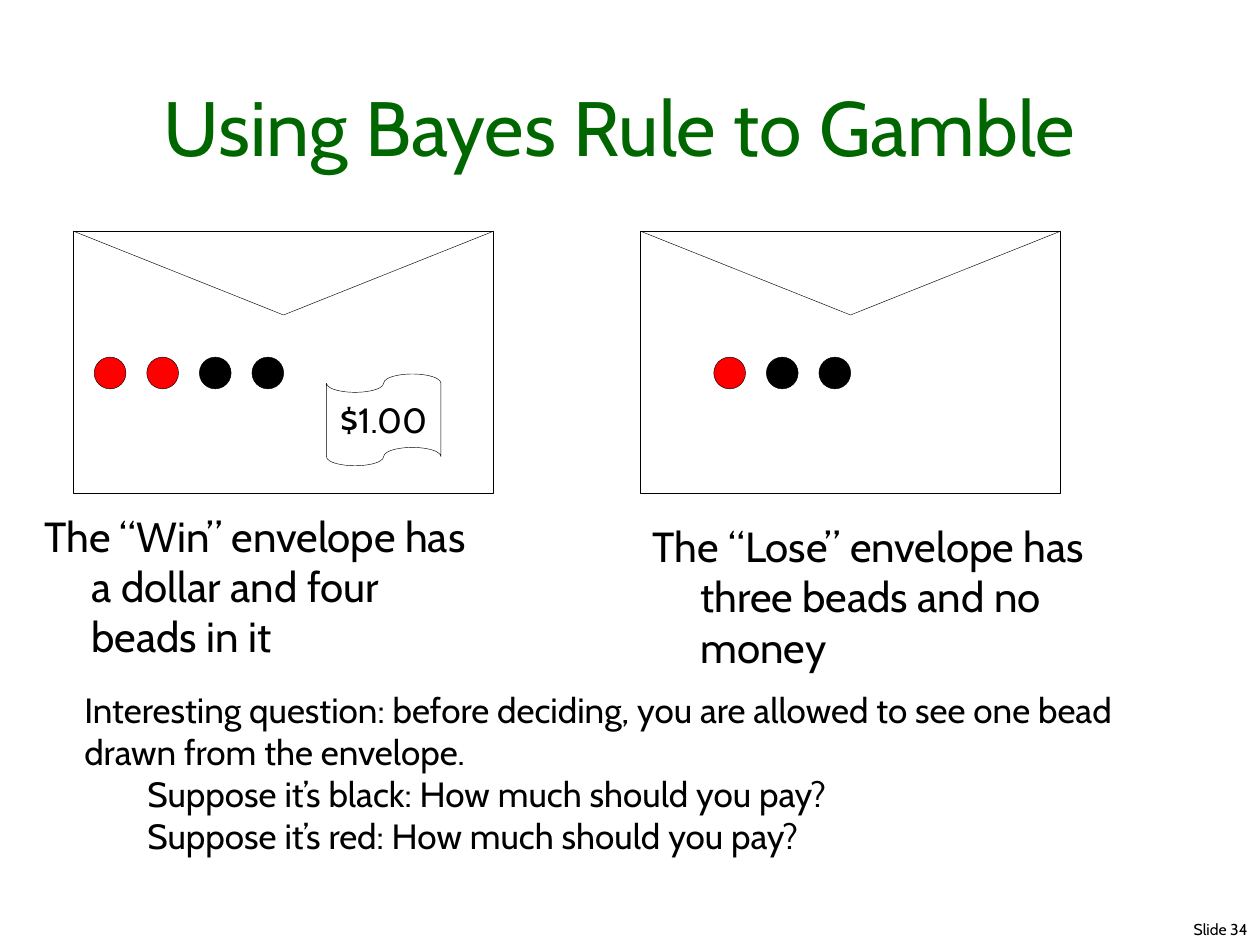
import pptx
import pptx.dml.color
import pptx.enum.shapes
import pptx.enum.text
import pptx.oxml.ns
import pptx.shapes.autoshape
import pptx.shapes.shapetree
import pptx.slide
import pptx.util
from dataclasses import dataclass
from lxml import etree

Cm = pptx.util.Cm
Pt = pptx.util.Pt
RGB = pptx.dml.color.RGBColor
Align = pptx.enum.text.PP_ALIGN
Anchor = pptx.enum.text.MSO_ANCHOR
Preset = pptx.enum.shapes.MSO_SHAPE


@dataclass(frozen=True)
class Theme:
    font: str = "Cabin"
    ink: RGB = RGB(0, 0, 0)
    title: RGB = RGB(0, 0x66, 0)
    red: RGB = RGB(0xFF, 0, 0)
    title_size: float = 44
    caption_size: float = 24
    body_size: float = 20
    footer_size: float = 9
    line_width: float = 0.25


@dataclass(frozen=True)
class Area:
    left: float
    top: float
    width: float
    height: float

    def lengths(self) -> list[int]:
        return [Cm(value) for value in (self.left, self.top, self.width, self.height)]


@dataclass(frozen=True)
class Line:
    text: str
    size: float
    color: RGB = Theme.ink
    align: Align = Align.LEFT
    margin: float = 0
    indent: float = 0


@dataclass(frozen=True)
class TextBlock:
    area: Area
    lines: tuple[Line, ...]
    anchor: Anchor = Anchor.TOP


@dataclass(frozen=True)
class Envelope:
    left: float
    first_bead: float
    beads: tuple[RGB, ...]
    note: str = ""


THEME = Theme()
ENVELOPE_TOP, ENVELOPE_WIDTH, ENVELOPE_HEIGHT = 4.66, 8.47, 5.29
FLAP_DEPTH = 1.69
BEAD_TOP, BEAD_SIZE, BEAD_PITCH = 7.2, 0.64, 1.06
NOTE_OFFSET = 5.1
HANG = 0.96

ENVELOPES = (
    Envelope(1.48, 1.9, (THEME.red, THEME.red, THEME.ink, THEME.ink), "$1.00"),
    Envelope(12.91, 14.39, (THEME.red, THEME.ink, THEME.ink)),
)


def caption(left: float, top: float, text: str) -> TextBlock:
    line = Line(text, THEME.caption_size, margin=HANG, indent=-HANG)
    return TextBlock(Area(left, top, 9.31, 3.6), (line,))


TEXT_BLOCKS = (
    TextBlock(
        Area(15.44, 18.41, 9.96, 0.64),
        (Line("Slide 34", THEME.footer_size, align=Align.RIGHT),),
    ),
    TextBlock(
        Area(0.64, 0.64, 23.71, 2.96),
        (Line("Using Bayes Rule to Gamble", THEME.title_size, THEME.title, Align.CENTER),),
        Anchor.BOTTOM,
    ),
    caption(0.64, 10.16, "The “Win” envelope has a dollar and four beads in it"),
    caption(12.91, 10.37, "The “Lose” envelope has three beads and no money"),
    TextBlock(
        Area(1.45, 13.76, 22.96, 4.5),
        (
            Line(
                "Interesting question: before deciding, you are allowed to see "
                "one bead drawn from the envelope.",
                THEME.body_size,
            ),
            Line("Suppose it’s black: How much should you pay?", THEME.body_size, margin=1.27),
            Line("Suppose it’s red: How much should you pay?", THEME.body_size, margin=1.27),
        ),
    ),
)


def write_lines(shape: pptx.shapes.autoshape.Shape, lines: tuple[Line, ...]) -> None:
    frame = shape.text_frame
    for index, line in enumerate(lines):
        para = frame.add_paragraph() if index else frame.paragraphs[0]
        para.text = line.text
        para.alignment = line.align
        if line.margin:
            properties = para._p.get_or_add_pPr()
            properties.set("marL", str(Cm(line.margin)))
            properties.set("indent", str(Cm(line.indent)))
        para.font.name = THEME.font
        para.font.size = Pt(line.size)
        para.font.color.rgb = line.color


def draw_text(slide: pptx.slide.Slide, block: TextBlock) -> None:
    box = slide.shapes.add_textbox(*block.area.lengths())
    box.text_frame.word_wrap = True
    box.text_frame.vertical_anchor = block.anchor
    write_lines(box, block.lines)


def draw_shape(
    shapes: pptx.shapes.shapetree.GroupShapes,
    preset: Preset,
    area: Area,
    fill: RGB | None = None,
) -> pptx.shapes.autoshape.Shape:
    shape = shapes.add_shape(preset, *area.lengths())
    shape.shadow.inherit = False
    if fill is None:
        shape.fill.background()
    else:
        shape.fill.solid()
        shape.fill.fore_color.rgb = fill
    shape.line.color.rgb = THEME.ink
    shape.line.width = Pt(THEME.line_width)
    return shape


def draw_line(
    shapes: pptx.shapes.shapetree.GroupShapes,
    start: tuple[float, float],
    end: tuple[float, float],
) -> None:
    line = shapes.add_connector(
        pptx.enum.shapes.MSO_CONNECTOR.STRAIGHT, *[Cm(value) for value in start + end]
    )
    line.line.color.rgb = THEME.ink
    line.line.width = Pt(THEME.line_width)
    etree.SubElement(line._element.spPr, pptx.oxml.ns.qn("a:effectLst"))


def draw_envelope(slide: pptx.slide.Slide, envelope: Envelope) -> None:
    shapes = slide.shapes.add_group_shape().shapes
    body = Area(envelope.left, ENVELOPE_TOP, ENVELOPE_WIDTH, ENVELOPE_HEIGHT)
    draw_shape(shapes, Preset.RECTANGLE, body)
    tip = (body.left + body.width / 2, body.top + FLAP_DEPTH)
    draw_line(shapes, (body.left, body.top), tip)
    draw_line(shapes, tip, (body.left + body.width, body.top))
    for index, color in enumerate(envelope.beads):
        left = envelope.first_bead + index * BEAD_PITCH
        draw_shape(shapes, Preset.OVAL, Area(left, BEAD_TOP, BEAD_SIZE, BEAD_SIZE), color)
    if envelope.note:
        area = Area(body.left + NOTE_OFFSET, 7.54, 2.31, 1.85)
        bill = draw_shape(shapes, Preset.FLOWCHART_PUNCHED_TAPE, area)
        bill.text_frame.word_wrap = False
        bill.text_frame.vertical_anchor = Anchor.MIDDLE
        write_lines(bill, (Line(envelope.note, THEME.body_size, align=Align.CENTER),))


def main() -> None:
    deck = pptx.Presentation()
    deck.slide_width, deck.slide_height = Cm(25.4), Cm(19.05)
    slide = deck.slides.add_slide(deck.slide_layouts[6])
    for envelope in ENVELOPES:
        draw_envelope(slide, envelope)
    for block in TEXT_BLOCKS:
        draw_text(slide, block)
    deck.save("out.pptx")


if __name__ == "__main__":
    main()
